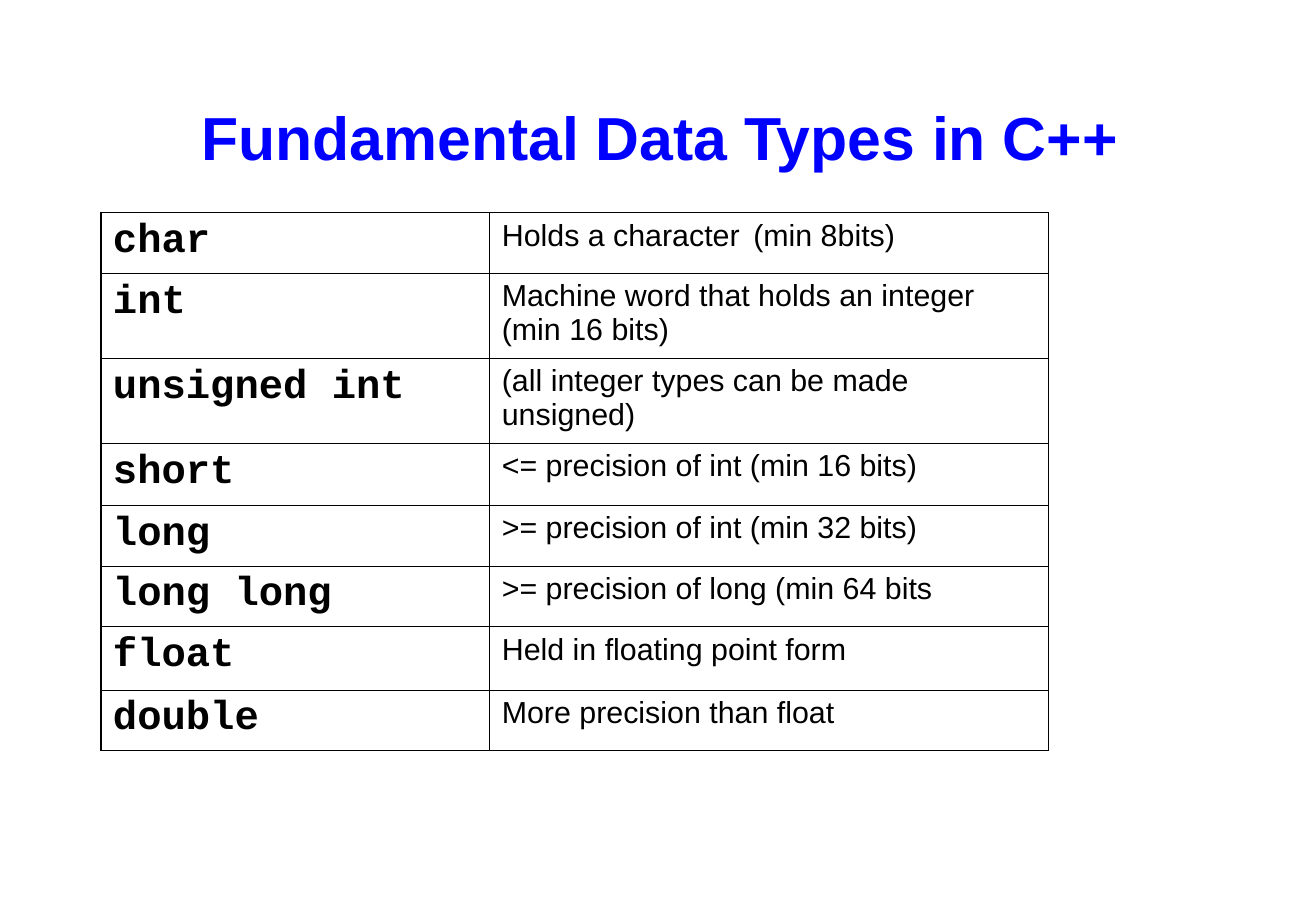
from lxml.etree import SubElement
from pptx import Presentation
from pptx.dml.color import RGBColor
from pptx.enum.text import MSO_ANCHOR as Anchor, PP_ALIGN as Align
from pptx.oxml.ns import qn
from pptx.util import Emu, Pt

EMU_PER_PX = 9144  # 100 px to the inch
COLUMN_WIDTHS = [320, 460]
DATA_TYPES = [
    ("char", "Holds a character\t (min 8bits)", 50),
    ("int", "Machine word that holds an integer (min 16 bits)", 70),
    ("unsigned int", "(all integer types can be made unsigned)", 70),
    ("short", "<= precision of int (min 16 bits)", 51),
    ("long", ">= precision of int (min 32 bits)", 50),
    ("long\tlong", ">= precision of long (min 64 bits", 50),
    ("float", "Held in floating point form", 52),
    ("double", "More precision than float", 50),
]


def px(length):
    return Emu(length * EMU_PER_PX)


def color(value):
    return RGBColor.from_string(value)


class SlideBuilder:
    ink = "000000"
    title_color = "0000FF"
    text_font = "Arial"
    code_font = "Courier New"
    inner_line = 0.45
    outer_line = 1.08

    def __init__(self, presentation):
        self.slide = presentation.slides.add_slide(presentation.slide_layouts[5])

    def add_run(self, paragraph, text, size, font, fill, bold=False):
        run = paragraph.add_run()
        run.text = text
        run.font.name = font
        run.font.size = Pt(size)
        run.font.bold = bold
        run.font.color.rgb = color(fill)

    def title(self, text, left, top, width, height):
        shape = self.slide.shapes.title
        shape.left, shape.top = px(left), px(top)
        shape.width, shape.height = px(width), px(height)
        frame = shape.text_frame
        frame.vertical_anchor = Anchor.MIDDLE
        paragraph = frame.paragraphs[0]
        paragraph.alignment = Align.CENTER
        self.add_run(paragraph, text, 36, self.text_font, self.title_color, True)

    def border(self, cell, widths):
        """Draw the left, right, top and bottom lines, given in that order in points."""
        properties = cell._tc.get_or_add_tcPr()
        for side, width in zip("LRTB", widths):
            line = SubElement(properties, qn(f"a:ln{side}"), w=str(Pt(width)))
            fill = SubElement(line, qn("a:solidFill"))
            SubElement(fill, qn("a:srgbClr"), val=self.ink)

    def type_table(self, rows, column_widths, left, top):
        last_row, last_column = len(rows) - 1, len(column_widths) - 1
        table = self.slide.shapes.add_table(
            len(rows), len(column_widths), px(left), px(top),
            px(sum(column_widths)), px(sum(row[-1] for row in rows)),
        ).table
        table.first_row = table.horz_banding = False
        for column, width in zip(table.columns, column_widths):
            column.width = px(width)
        styles = [(24, self.code_font, self.ink, True), (18, self.text_font, self.ink)]
        for r, (*texts, height) in enumerate(rows):
            table.rows[r].height = px(height)
            for c, (text, style) in enumerate(zip(texts, styles)):
                cell = table.cell(r, c)
                self.add_run(cell.text_frame.paragraphs[0], text, *style)
                on_edge = (c == 0, c == last_column, r == 0, r == last_row)
                self.border(cell, [self.outer_line if edge else self.inner_line
                                   for edge in on_edge])
                cell.fill.background()


def main():
    presentation = Presentation()
    presentation.slide_width, presentation.slide_height = px(1083), px(750)
    builder = SlideBuilder(presentation)
    builder.title("Fundamental Data Types in C++", 83, 50, 920, 125)
    builder.type_table(DATA_TYPES, COLUMN_WIDTHS, 83, 175)
    presentation.save("out.pptx")


if __name__ == "__main__":
    main()
